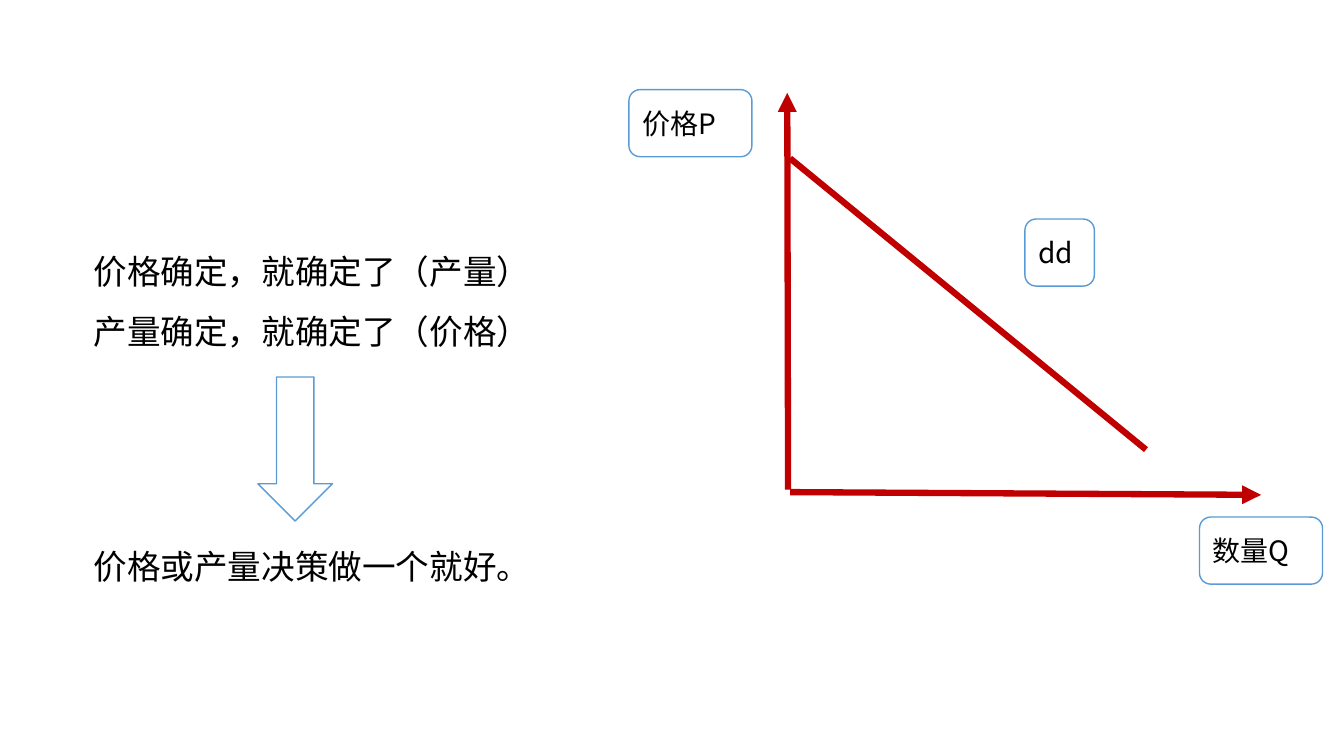
from lxml import etree
from pptx import Presentation
from pptx.dml.color import RGBColor
from pptx.enum.shapes import MSO_CONNECTOR, MSO_SHAPE
from pptx.enum.text import MSO_ANCHOR, MSO_AUTO_SIZE, PP_ALIGN
from pptx.oxml.ns import qn
from pptx.util import Cm, Pt

FONT = "Noto Sans CJK SC"
BLACK, WHITE, BLUE, RED = "000000", "FFFFFF", "5B9BD5", "C00000"
STRAIGHT = MSO_CONNECTOR.STRAIGHT
ROUNDED, DOWN_ARROW = MSO_SHAPE.ROUNDED_RECTANGLE, MSO_SHAPE.DOWN_ARROW
MIDDLE, LEFT = MSO_ANCHOR.MIDDLE, PP_ALIGN.LEFT
GROW = MSO_AUTO_SIZE.SHAPE_TO_FIT_TEXT


def paint(color_format, color):
    color_format.rgb = RGBColor.from_string(color)


def write(text_frame, text, size, line_spacing):
    """Fill the frame with left-aligned text, in FONT for Latin and Chinese alike."""
    text_frame.text = text
    for paragraph in text_frame.paragraphs:
        paragraph.alignment = LEFT
        paragraph.line_spacing = line_spacing
        for run in paragraph.runs:
            run.font.size = Pt(size)
            run.font.name = FONT
            paint(run.font.color, BLACK)
            east_asian = etree.SubElement(run.font._element, qn("a:ea"))
            east_asian.set("typeface", FONT)


presentation = Presentation()
presentation.slide_width, presentation.slide_height = Cm(33.87), Cm(19.05)
slide = presentation.slides.add_slide(presentation.slide_layouts[6])

# Statements on the left
statements = [
    ("价格确定，就确定了（产量）\n产量确定，就确定了（价格）", 5.69, 19.15, 3.15),
    ("价格或产量决策做一个就好。", 13.13, 11.76, 1.8),
]
for text, top, width, height in statements:
    text_box = slide.shapes.add_textbox(Cm(2.11), Cm(top), Cm(width), Cm(height))
    text_box.text_frame.word_wrap = True
    text_box.text_frame.auto_size = GROW
    write(text_box.text_frame, text, 24, 1.5)

# Axes and demand curve: start, end, arrowhead
graph_lines = [
    ((19.91, 12.4), (31.78, 12.47), True),
    ((19.86, 12.34), (19.84, 2.34), True),
    ((19.91, 3.99), (28.88, 11.33), False),
]
for start, end, has_arrowhead in graph_lines:
    connector = slide.shapes.add_connector(STRAIGHT, *map(Cm, start + end))
    connector.line.width = Pt(4.5)
    connector.line.fill.solid()
    paint(connector.line.fill.fore_color, RED)
    properties = connector._element.spPr
    etree.SubElement(properties, qn("a:effectLst"))
    if has_arrowhead:
        arrowhead = etree.SubElement(properties.find(qn("a:ln")), qn("a:tailEnd"))
        arrowhead.set("type", "triangle")

# Graph labels and the arrow between the statements
outlined_shapes = [
    (ROUNDED, "数量Q", 30.23, 13.03, 3.1, 1.69),
    (ROUNDED, "价格P", 15.85, 2.26, 3.1, 1.69),
    (ROUNDED, "dd", 25.83, 5.52, 1.75, 1.69),
    (DOWN_ARROW, "", 6.5, 9.5, 1.88, 3.63),
]
for kind, label, *box in outlined_shapes:
    shape = slide.shapes.add_shape(kind, *map(Cm, box))
    shape.shadow.inherit = False
    shape.fill.solid()
    paint(shape.fill.fore_color, WHITE)
    shape.line.width = Pt(1)
    paint(shape.line.color, BLUE)
    if label:
        shape.text_frame.vertical_anchor = MIDDLE
        write(shape.text_frame, label, 20, 1.0)

presentation.save("out.pptx")
